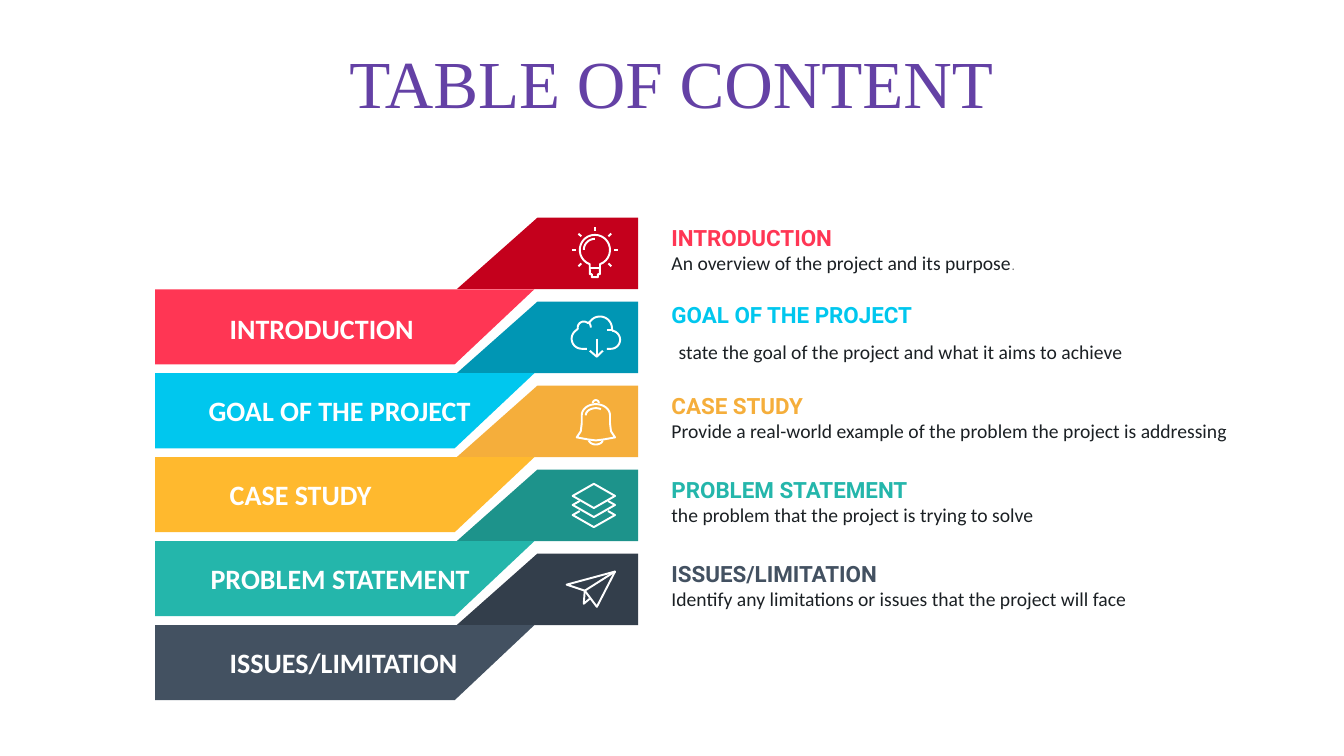
import copy
import math
from dataclasses import dataclass

import lxml.etree
import pptx
import pptx.dml.color
import pptx.enum.shapes
import pptx.enum.text
import pptx.oxml.ns
import pptx.util

Inches = pptx.util.Inches


@dataclass(frozen=True)
class Theme:
    title: str = "6441A5"
    body: str = "1B2024"
    faint: str = "808080"
    white: str = "FFFFFF"
    title_size: int = 48
    label_size: int = 20
    heading_size: int = 16
    body_size: int = 14
    indent_size: int = 23
    small_size: int = 11
    title_font: str = "Times New Roman"
    heading_font: str = "Roboto"
    body_font: str = "Calibri"
    icon_line: float = 1.4


theme = Theme()
presentation = pptx.Presentation()
presentation.slide_width = Inches(13.33)
presentation.slide_height = Inches(7.5)
slide = presentation.slides.add_slide(presentation.slide_layouts[6])


def add_text(runs, left, top, width, height, *, margin=True, wrap=True, middle=False,
             centered=False, space_after=0, line_spacing=None, grow=True):
    """Runs are (text, size, font, colour, bold); a trailing newline breaks the line."""
    box = slide.shapes.add_textbox(Inches(left), Inches(top), Inches(width), Inches(height))
    frame = box.text_frame
    frame.word_wrap = wrap
    if not margin:
        frame.margin_left = frame.margin_top = frame.margin_right = frame.margin_bottom = 0
    if middle:
        frame.vertical_anchor = pptx.enum.text.MSO_ANCHOR.MIDDLE
    if grow:
        frame.auto_size = pptx.enum.text.MSO_AUTO_SIZE.SHAPE_TO_FIT_TEXT
    paragraph = frame.paragraphs[0]
    if centered:
        paragraph.alignment = pptx.enum.text.PP_ALIGN.CENTER
    paragraph.space_after = pptx.util.Pt(space_after)
    if line_spacing:
        paragraph.line_spacing = line_spacing
    for text, size, font, color, bold in runs:
        run = paragraph.add_run()
        run.text = text.rstrip("\n")
        run.font.size = pptx.util.Pt(size)
        run.font.name = font
        run.font.bold = bold
        run.font.color.rgb = pptx.dml.color.RGBColor.from_string(color)
        if text.endswith("\n"):
            paragraph.add_line_break()
            # The break takes the run's format so the line keeps its height
            paragraph._p[-1].append(copy.deepcopy(run._r.rPr))


def add_outline(vertices, *, fill=None, closed=False):
    """Vertices are (x, y) points or (cx, cy, rx, ry, start, end) arcs in degrees."""
    points = []
    for vertex in vertices:
        if len(vertex) == 2:
            points.append(vertex)
            continue
        center_x, center_y, radius_x, radius_y, start, end = vertex
        for step in range(25):
            angle = math.radians(start + (end - start) * step / 24)
            points.append((center_x + radius_x * math.cos(angle),
                           center_y + radius_y * math.sin(angle)))
    points = [(Inches(x), Inches(y)) for x, y in points]
    if len(points) == 2:
        shape = slide.shapes.add_connector(
            pptx.enum.shapes.MSO_CONNECTOR.STRAIGHT, *points[0], *points[1])
        lxml.etree.SubElement(shape._element.spPr, pptx.oxml.ns.qn("a:effectLst"))
    else:
        builder = slide.shapes.build_freeform(*points[0])
        builder.add_line_segments(points[1:], close=closed)
        shape = builder.convert_to_shape()
        shape.shadow.inherit = False
        if fill:
            shape.fill.solid()
            shape.fill.fore_color.rgb = pptx.dml.color.RGBColor.from_string(fill)
            shape.line.fill.background()
            return
        shape.fill.background()
    shape.line.color.rgb = pptx.dml.color.RGBColor.from_string(theme.white)
    shape.line.width = pptx.util.Pt(theme.icon_line)


# Title
add_text([("TABLE OF CONTENT", theme.title_size, theme.title_font, theme.title, False)],
         0.56, 0.5, 12.2, 0.72, margin=False, middle=True, centered=True,
         line_spacing=0.9, grow=False)

# Rows: name, tab colour, band colour, heading colour, label left and width, description
rows = [
    ("INTRODUCTION", "C4001C", "FF3654", "FF3654", 2.18, 2.04,
     "An overview of the project and its purpose"),
    ("GOAL OF THE PROJECT", "0096B4", "00C7EE", "00C7EE", 1.97, 2.82,
     "state the goal of the project and what it aims to achieve"),
    ("CASE STUDY", "F5AE3B", "FFB92E", "F5AE3B", 2.18, 1.62,
     "Provide a real-world example of the problem the project is addressing"),
    ("PROBLEM STATEMENT", "1D938B", "24B6AB", "24B6AB", 1.99, 2.79,
     "the problem that the project is trying to solve"),
    ("ISSUES/LIMITATION", "333E4B", "435161", "435161", 2.18, 2.48,
     "Identify any limitations or issues that the project will face"),
]
first_top, pitch, tab_height, band_height = 2.16, 0.833, 0.71, 0.745

for index, (name, tab, band, accent, label_left, label_width, description) in enumerate(rows):
    top = first_top + index * pitch
    fold = top + tab_height
    add_outline([(6.33, top), (5.33, top), (4.53, fold), (6.33, fold)], fill=tab, closed=True)
    add_outline([(4.51, fold + band_height), (1.54, fold + band_height), (1.54, fold),
                 (5.3, fold)], fill=band, closed=True)
    add_text([(name, theme.label_size, theme.body_font, theme.white, True)],
             label_left, fold + (0.17 if index == 0 else 0.15), label_width, 0.44, wrap=False)

    runs = [(name + "\n", theme.heading_size, theme.heading_font, accent, True),
            (description, theme.body_size, theme.body_font, theme.body, False)]
    text_height = 0.5
    if index == 0:
        runs.append((".", theme.small_size, theme.heading_font, theme.faint, False))
    elif index == 1:
        runs.insert(1, (" ", theme.indent_size, theme.body_font, theme.white, False))
        text_height = 0.66
    add_text(runs, 6.66, top + 0.315 - text_height / 2, 5.54, text_height,
             margin=False, middle=True, space_after=12)

# Light bulb: glass, screw, highlight and rays
add_outline([(5.9, 2.48, 0.15, 0.15, 110, 430), (5.95, 2.72), (5.93, 2.72), (5.93, 2.75),
             (5.87, 2.75), (5.87, 2.72), (5.85, 2.72)], closed=True)
add_outline([(5.85, 2.66), (5.95, 2.66)])
add_outline([(5.9, 2.48, 0.11, 0.11, 180, 270)])
for degrees in range(-225, 90, 45):
    cosine, sine = math.cos(math.radians(degrees)), math.sin(math.radians(degrees))
    add_outline([(5.9 + radius * cosine, 2.48 + radius * sine) for radius in (0.19, 0.23)])

# Cloud with download arrow
add_outline([(5.82, 3.46), (5.77, 3.36, 0.1, 0.1, 90, 240), (5.79, 3.25, 0.06, 0.06, 170, 310),
             (5.95, 3.26, 0.12, 0.12, 213, 360), (6.06, 3.37, 0.09, 0.09, -80, 90),
             (6.02, 3.46)])
add_outline([(5.79, 3.25, 0.07, 0.07, 310, 360)])
add_outline([(6.02, 3.27), (6.07, 3.27)])
add_outline([(5.92, 3.36), (5.92, 3.54)])
add_outline([(5.85, 3.48), (5.92, 3.54), (5.98, 3.48)])

# Bell: body, crown, clapper and highlight
add_outline([(5.91, 4.12, 0.14, 0.11, 180, 360), (6.05, 4.2), (6.06, 4.28), (6.1, 4.34),
             (5.99, 4.36), (5.91, 4.37), (5.83, 4.36), (5.72, 4.34), (5.76, 4.28),
             (5.77, 4.2)], closed=True)
add_outline([(5.91, 4, 0.03, 0.03, 180, 360)])
add_outline([(5.91, 4.36, 0.07, 0.05, 10, 170)])
add_outline([(5.91, 4.12, 0.1, 0.07, 180, 300)])

# Layers
add_outline([(5.89, 4.8), (6.1, 4.92), (5.89, 5.04), (5.68, 4.92)], closed=True)
for drop in (0, 0.1):
    add_outline([(5.75, 4.97 + drop), (5.68, 5.01 + drop), (5.89, 5.13 + drop),
                 (6.1, 5.01 + drop), (6.03, 4.97 + drop)])

# Paper plane
add_outline([(6.1, 5.67), (5.62, 5.8), (5.8, 5.86), (5.92, 6.02)], closed=True)
add_outline([(6.1, 5.67), (5.8, 5.86)])
add_outline([(5.8, 5.86), (5.79, 5.99), (5.85, 5.94)])

presentation.save("out.pptx")
